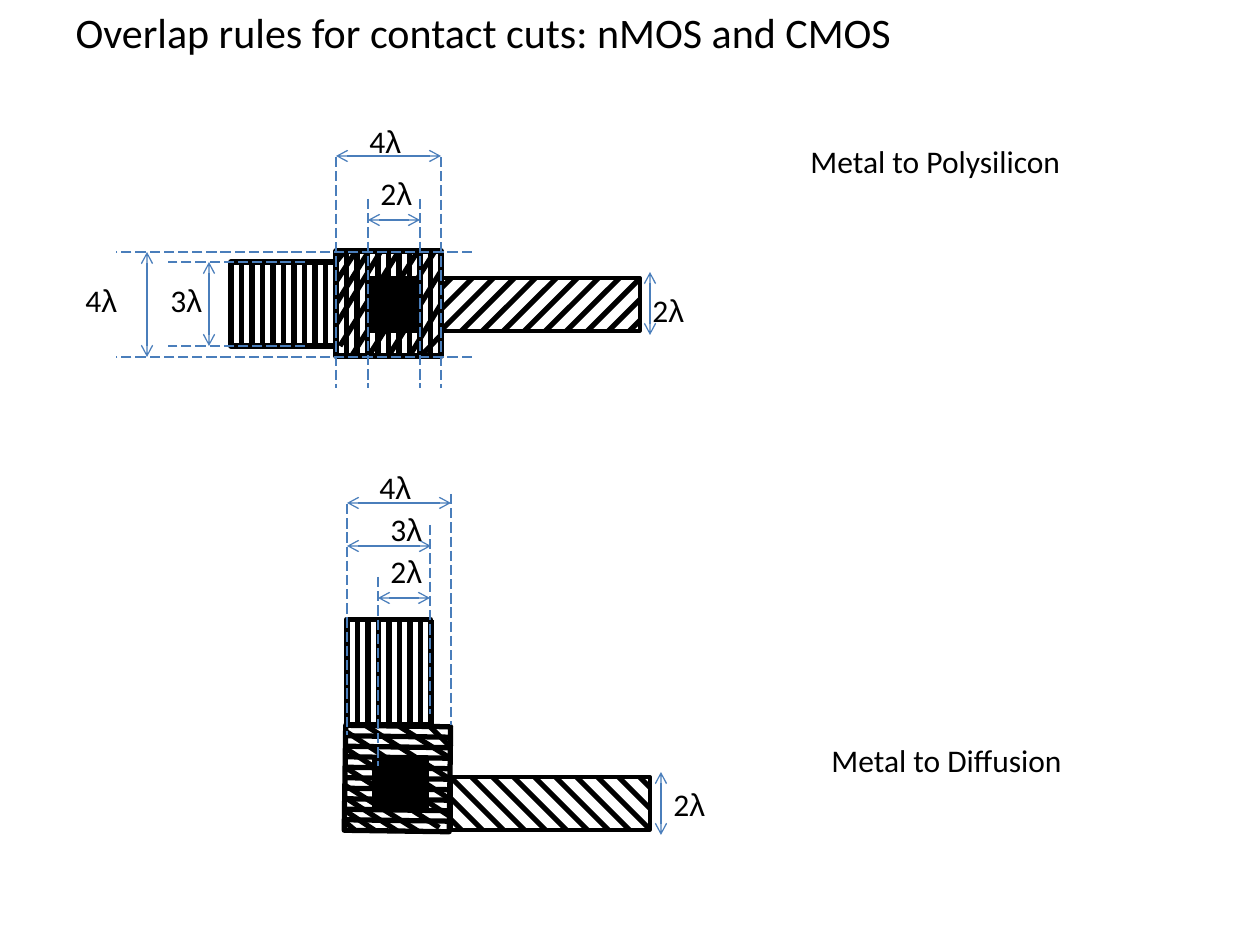
from math import cos, radians, sin

from lxml.etree import SubElement
from pptx import Presentation
from pptx.dml.color import RGBColor
from pptx.enum.dml import MSO_LINE
from pptx.enum.shapes import MSO_CONNECTOR, MSO_SHAPE
from pptx.enum.text import MSO_ANCHOR, MSO_AUTO_SIZE, PP_ALIGN
from pptx.oxml.ns import qn
from pptx.util import Emu, Inches, Pt

SCALE = 914400 / 126  # EMU per px
COLORS = {"ink": "000000", "dim": "4A7EBB"}
PITCH = 10.5  # gap between hatch lines
PAD = 105  # side of a contact pad
CUT = 53  # side of a contact cut

# Slanted hatch of a contact pad, measured from its top left corner
SLANTS = [
    (9, 0, 0, 11), (20, 0, 0, 31), (33, 0, 0, 53), (45, 0, 0, 74),
    (63, 0, 4, 95), (82, 0, 15, 106), (99, 0, 32, 106),
    (84, 106, 105, 84), (73, 106, 105, 53), (52, 106, 105, 20),
]


def emu(*px):
    return [Emu(round(v * SCALE)) for v in px]


def color(name):
    return RGBColor.from_string(COLORS[name])


class Sketch:
    """Holds the style and the slide being drawn."""

    def __init__(self, slide):
        self.s = slide
        self.font, self.greek = "Calibri", "Arial"

    def run(self, p, text, size=18, font=None):
        r = p.add_run()
        r.text = text
        r.font.size = Pt(size)
        r.font.name = font or self.font
        r.font.color.rgb = color("ink")

    def title(self, text, x, y, w, h):
        sp = self.s.shapes.title
        sp.left, sp.top, sp.width, sp.height = emu(x, y, w, h)
        tf = sp.text_frame
        tf.auto_size = MSO_AUTO_SIZE.NONE
        tf.vertical_anchor = MSO_ANCHOR.TOP
        p = tf.paragraphs[0]
        p.alignment = PP_ALIGN.LEFT
        self.run(p, text, 24)

    def label(self, text, x, y, w=294):
        sp = self.s.shapes.add_textbox(*emu(x, y, w, 50))
        sp.text_frame.word_wrap = True
        p = sp.text_frame.paragraphs[0]
        self.run(p, text)
        return p

    def size_label(self, count, x, y):
        p = self.label(str(count), x, y, 63)
        self.run(p, "λ", font=self.greek)

    def rect(self, x, y, w, h, weight=3, rotation=0, solid=False):
        sp = self.s.shapes.add_shape(MSO_SHAPE.RECTANGLE, *emu(x, y, w, h))
        sp.shadow.inherit = False
        sp.rotation = rotation
        if solid:
            sp.fill.solid()
            sp.fill.fore_color.rgb = color("ink")
        else:
            sp.fill.background()
        sp.line.color.rgb = color("ink")
        sp.line.width = Pt(weight)

    def line(self, x1, y1, x2, y2, weight=3, ink="ink"):
        c = self.s.shapes.add_connector(MSO_CONNECTOR.STRAIGHT, *emu(x1, y1, x2, y2))
        c.line.color.rgb = color(ink)
        c.line.width = Pt(weight)
        SubElement(c._element.spPr, qn("a:effectLst"))
        return c

    def guide(self, *ends):
        self.line(*ends, 0.75, "dim").line.dash_style = MSO_LINE.LONG_DASH

    def dimension(self, *ends):
        ln = self.line(*ends, 0.75, "dim").line._get_or_add_ln()
        for end in ("a:headEnd", "a:tailEnd"):
            SubElement(ln, qn(end), type="arrow")

    def stripes(self, x, y, h):
        """Nine upright hatch lines, the first at x."""
        for i in range(9):
            self.line(x + i * PITCH, y, x + i * PITCH, y + h)

    def metal_strip(self, x, y, w=199, h=53, flip=False):
        """Strip with 45 degree hatch cut off at its edges."""
        self.rect(x, y, w, h, 2)
        for i in range(12):
            d = PITCH * (1 + 2 * i)
            y1, y2 = min(d, h), max(0, d - w)
            if flip:
                y1, y2 = h - y1, h - y2
            self.line(x + max(0, d - h), y + y1, x + min(d, w), y + y2)

    def contact_pad(self, x, y, angle=0):
        """Cross-hatched pad, turned about its centre."""
        self.rect(x, y, PAD, PAD, rotation=angle)
        half, a = PAD / 2, radians(angle)

        def turn(u, v):
            u, v = u - half, v - half
            return (x + half + u * cos(a) - v * sin(a),
                    y + half + u * sin(a) + v * cos(a))

        uprights = [(PITCH * i, 0, PITCH * i, PAD) for i in range(1, 10)]
        for u1, v1, u2, v2 in uprights + SLANTS:
            self.line(*turn(u1, v1), *turn(u2, v2))

    def contact_cut(self, x, y):
        self.rect(x, y, CUT, CUT, 2, solid=True)


def draw_polysilicon(k):
    k.rect(231, 262, 105, 84)
    k.stripes(231 + PITCH, 262, 84)
    k.metal_strip(441, 278)
    k.contact_pad(336, 251)
    k.contact_cut(368, 278)

    # Guides
    for x, top in [(336, 157), (441, 157), (368, 199), (420, 199)]:
        k.guide(x, top, x, 388)
    for y, left, right in [(252, 116, 472), (357, 116, 472),
                           (262, 168, 305), (346, 168, 305)]:
        k.guide(right, y, left, y)

    # Dimensions
    for ends in [(336, 156, 441, 156), (368, 220, 420, 220), (209, 346, 209, 262),
                 (147, 357, 147, 252), (650, 335, 650, 272)]:
        k.dimension(*ends)
    for count, x, y in [(4, 357, 116), (2, 368, 168), (3, 158, 275),
                        (4, 73, 275), (2, 640, 285)]:
        k.size_label(count, x, y)
    k.label("Metal to Polysilicon", 798, 136)


def draw_diffusion(k):
    k.rect(336, 630, 105, 84, rotation=270)
    k.stripes(347, 620, 105)
    k.metal_strip(451, 777, flip=True)
    k.contact_pad(345, 726, 270.8)
    k.contact_cut(374, 757)

    # Guides
    for x, top, bottom in [(347, 504, 735), (451, 494, 725),
                           (378, 577, 766), (430, 525, 714)]:
        k.guide(x, top, x, bottom)

    # Dimensions
    for ends in [(347, 503, 451, 503), (347, 546, 431, 546),
                 (378, 598, 430, 598), (661, 835, 661, 772)]:
        k.dimension(*ends)
    for count, x, y in [(4, 367, 462), (3, 378, 504), (2, 378, 546), (2, 661, 779)]:
        k.size_label(count, x, y)
    k.label("Metal to Diffusion", 819, 735)


def main():
    prs = Presentation()
    prs.slide_width, prs.slide_height = Inches(10), Inches(7.5)
    k = Sketch(prs.slides.add_slide(prs.slide_layouts[5]))
    k.title("Overlap rules for contact cuts: nMOS and CMOS", 63, 0, 955, 101)
    draw_polysilicon(k)
    draw_diffusion(k)
    prs.save("out.pptx")


if __name__ == "__main__":
    main()
